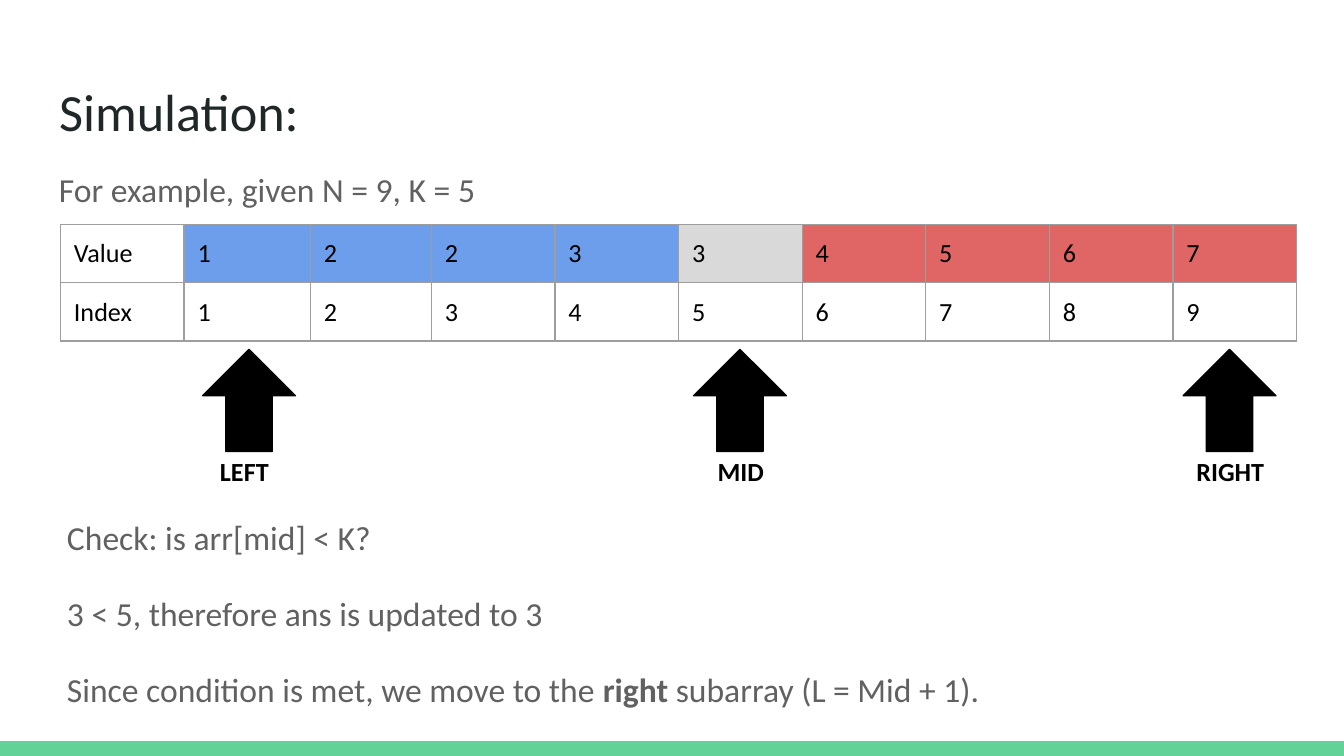
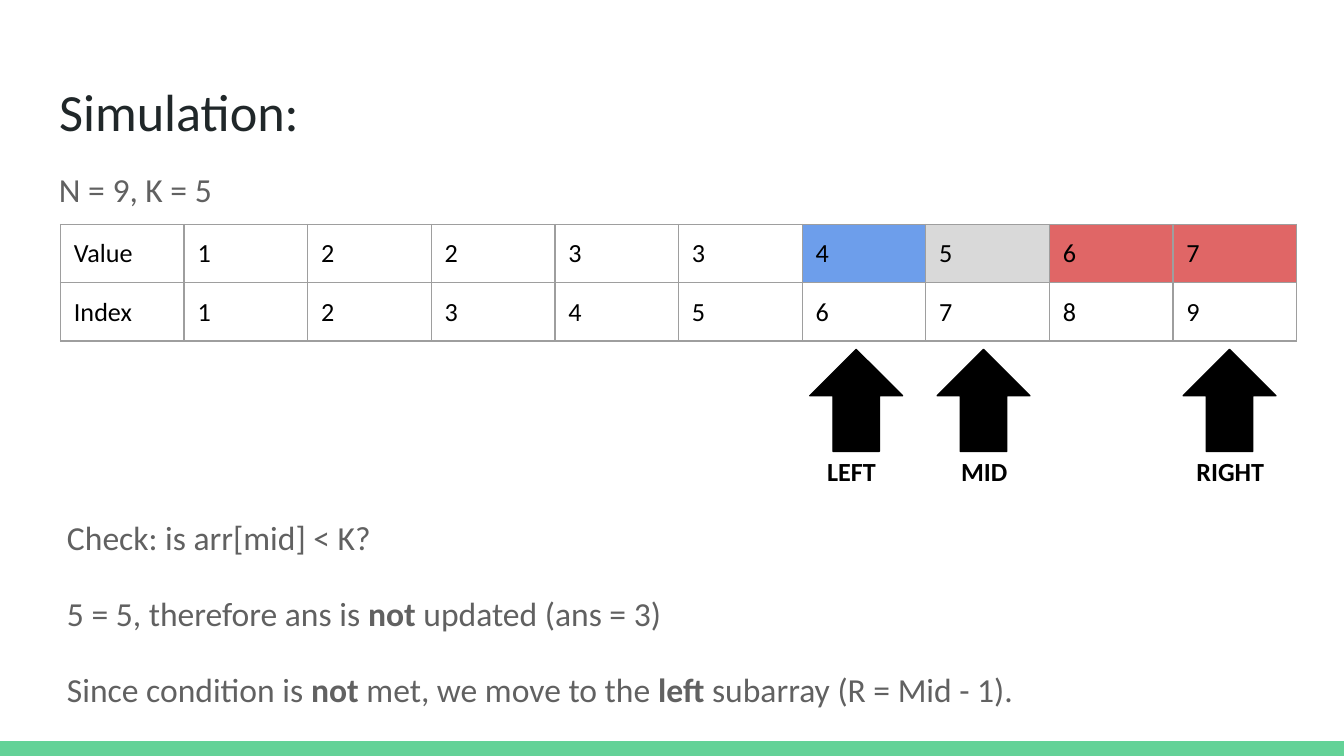
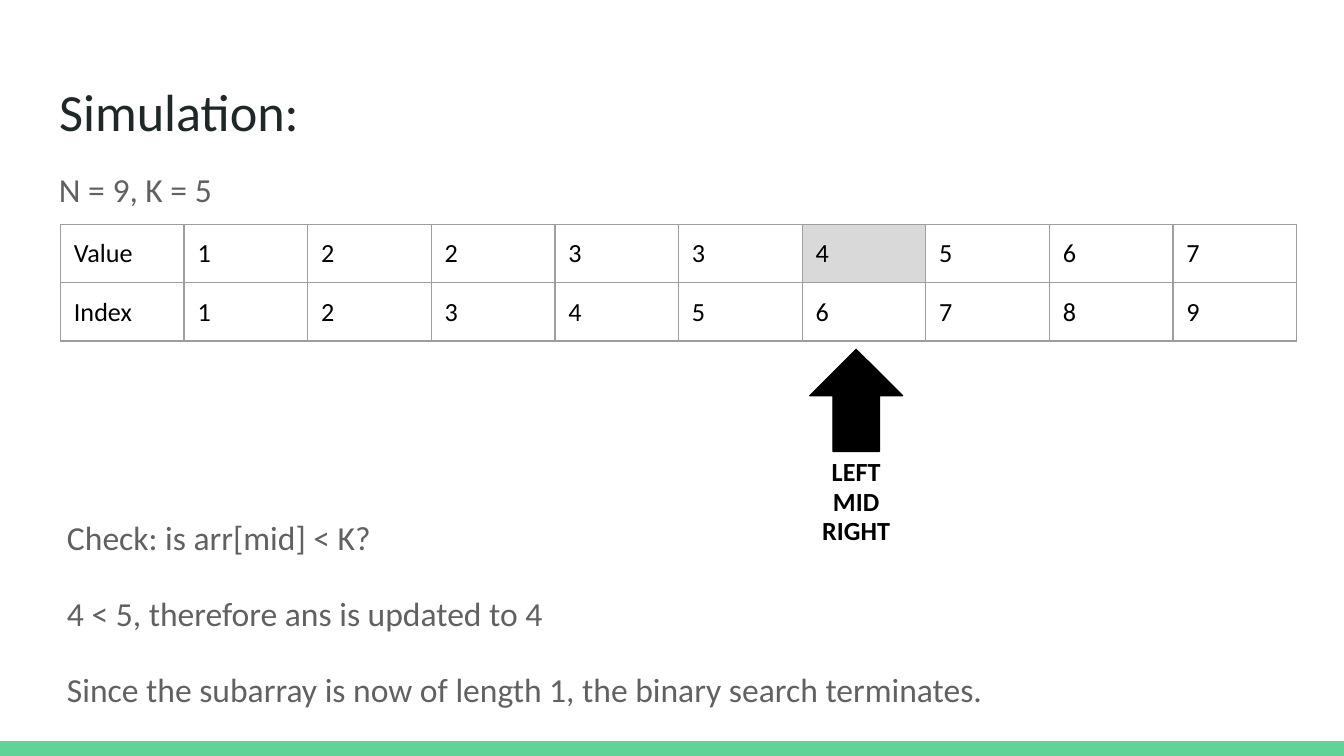
"""Build three slides that trace a binary search step by step."""
from pptx import Presentation
from pptx.dml.color import RGBColor
from pptx.enum.shapes import MSO_SHAPE
from pptx.enum.text import MSO_ANCHOR, PP_ALIGN
from pptx.oxml import parse_xml
from pptx.oxml.ns import nsdecls
from pptx.util import Inches, Pt

WIDTH = 10
HEIGHT = WIDTH * 9 / 16
BAND_HEIGHT = 0.11
MARGIN = 0.34
TEXT_WIDTH = WIDTH - 2 * MARGIN
TABLE_LEFT, TABLE_TOP = 0.45, 1.67
COLUMN = 0.92
ROWS = [0.43, 0.42]
ARROW_WIDTH, ARROW_HEIGHT = 0.69, 0.76
ARROW_TOP, LABEL_TOP = 2.6, 3.29
LABEL_HEIGHT, LABEL_STEP = 0.4, 0.22
LABEL_WIDTHS = {"LEFT": 0.65, "MID": 0.61, "RIGHT": 0.84}
LABEL_SHIFTS = {"LEFT": 0.03, "MID": 0.08, "RIGHT": 0}
GREEN, INK, GREY, BLACK = "63D297", "202729", "616161", "000000"
BLUE, SILVER, RED, BORDER = "6D9EEB", "D9D9D9", "E06666", "9E9E9E"

VALUES = [1, 2, 2, 3, 3, 4, 5, 6, 7]
TABLE_TEXT = [["Value", *VALUES], ["Index", *range(1, len(VALUES) + 1)]]
CHECK = "Check: is arr[mid] < K?"
STEPS = [
    {
        "intro": "For example, given N = 9, K = 5",
        "bounds": (1, 5, 9),
        "widths": {1: 0.94, 2: 0.9},
        "pointers": [(1.15, ["LEFT"]), (9.08, ["RIGHT"]), (5.12, ["MID"])],
        "notes": [
            CHECK,
            "3 < 5, therefore ans is updated to 3",
            "Since condition is met, we move to the *right *subarray (L = Mid + 1).",
        ],
    },
    {
        "intro": "N = 9, K = 5",
        "bounds": (6, 7, 9),
        "widths": {},
        "pointers": [(6.06, ["LEFT"]), (9.08, ["RIGHT"]), (7.09, ["MID"])],
        "notes": [
            CHECK,
            "5 = 5, therefore ans is *not *updated (ans = 3)",
            "Since condition is *not *met, we move to the *left *subarray (R = Mid - 1).",
        ],
    },
    {
        "intro": "N = 9, K = 5",
        "bounds": (6, 6, 6),
        "widths": {},
        "pointers": [(6.06, ["LEFT", "MID", "RIGHT"])],
        "notes": [
            CHECK,
            "4 < 5, therefore ans is updated to 4",
            "Since the subarray is now of length 1, the binary search terminates.",
        ],
    },
]


def color(code):
    return RGBColor.from_string(code)


def write(frame, lines, size, code, spacing=1.0, align=PP_ALIGN.LEFT):
    """Write lines into a frame, with text between asterisks in bold."""
    frame.word_wrap = True
    frame.vertical_anchor = MSO_ANCHOR.TOP
    frame.margin_left = frame.margin_right = Inches(0.1)
    frame.margin_top = frame.margin_bottom = Inches(0.1)
    for number, line in enumerate(lines):
        para = frame.add_paragraph() if number else frame.paragraphs[0]
        para.alignment = align
        para.line_spacing = spacing
        para.space_before = Pt(16 if number else 0)
        for part, words in enumerate(line.split("*")):
            if words:
                span = para.add_run()
                span.text = words
                span.font.name = "Calibri"
                span.font.size = Pt(size)
                span.font.bold = part % 2 == 1
                span.font.color.rgb = color(code)


deck = Presentation()
deck.slide_width, deck.slide_height = Inches(WIDTH), Inches(HEIGHT)
pages = [deck.slides.add_slide(deck.slide_layouts[5]) for step in STEPS]

band = pages[0].shapes.add_shape(
    MSO_SHAPE.RECTANGLE, 0, Inches(HEIGHT - BAND_HEIGHT), Inches(WIDTH), Inches(BAND_HEIGHT)
)
band.shadow.inherit = False
band.fill.solid()
band.fill.fore_color.rgb = color(GREEN)
band.line.fill.background()
band.element.nvSpPr.cNvPr.set("id", "20")
deck.slide_master.element.cSld.spTree.append(band.element)

for page, step in zip(pages, STEPS):
    title = page.shapes.title
    title.left, title.top = Inches(MARGIN), Inches(0.49)
    title.width, title.height = Inches(TEXT_WIDTH), Inches(0.63)
    write(title.text_frame, ["Simulation:"], 28, INK)

    intro = page.shapes.add_textbox(
        Inches(MARGIN), Inches(1.11), Inches(TEXT_WIDTH), Inches(0.5)
    )
    write(intro.text_frame, [step["intro"]], 18, GREY, 1.15)

    low, mid, high = step["bounds"]
    fills = {index: BLUE if index < mid else RED for index in range(low, high + 1)}
    fills[mid] = SILVER
    count = len(TABLE_TEXT[0])
    table = page.shapes.add_table(
        len(ROWS), count, Inches(TABLE_LEFT), Inches(TABLE_TOP),
        Inches(COLUMN * count), Inches(sum(ROWS))
    ).table
    table.first_row = table.horz_banding = False
    for index, column in enumerate(table.columns):
        column.width = Inches(step["widths"].get(index, COLUMN))
    for row, height in enumerate(ROWS):
        table.rows[row].height = Inches(height)
        for index, entry in enumerate(TABLE_TEXT[row]):
            cell = table.cell(row, index)
            write(cell.text_frame, [str(entry)], 14, BLACK)
            cell.margin_left = cell.margin_right = Inches(0.1)
            cell.margin_top = cell.margin_bottom = Inches(0.1)
            properties = cell._tc.get_or_add_tcPr()
            for side in "LRTB":
                properties.append(parse_xml(
                    f'<a:ln{side} {nsdecls("a")} w="9525"><a:solidFill>'
                    f'<a:srgbClr val="{BORDER}"/></a:solidFill></a:ln{side}>'
                ))
            if row == 0 and index in fills:
                cell.fill.solid()
                cell.fill.fore_color.rgb = color(fills[index])
            else:
                cell.fill.background()

    for place, words in step["pointers"]:
        left = TABLE_LEFT + place * COLUMN
        arrow = page.shapes.add_shape(
            MSO_SHAPE.UP_ARROW, Inches(left), Inches(ARROW_TOP),
            Inches(ARROW_WIDTH), Inches(ARROW_HEIGHT)
        )
        arrow.shadow.inherit = False
        arrow.fill.solid()
        arrow.fill.fore_color.rgb = color(BLACK)
        arrow.line.color.rgb = color(BLACK)
        arrow.line.width = Pt(0.75)
        stacked = len(words) > 1
        for level, word in enumerate(words):
            width = LABEL_WIDTHS[word]
            shift = (ARROW_WIDTH - width) / 2 if stacked else LABEL_SHIFTS[word]
            label = page.shapes.add_textbox(
                Inches(left + shift), Inches(LABEL_TOP + level * LABEL_STEP),
                Inches(width), Inches(LABEL_HEIGHT)
            )
            align = PP_ALIGN.CENTER if stacked else PP_ALIGN.LEFT
            write(label.text_frame, [f"*{word}*"], 14, BLACK, align=align)

    notes = page.shapes.add_textbox(
        Inches(0.4), Inches(3.7), Inches(TEXT_WIDTH), Inches(1.73)
    )
    write(notes.text_frame, step["notes"], 18, GREY, 1.15)
    notes.text_frame.paragraphs[-1].space_after = Pt(16)

deck.save("out.pptx")
